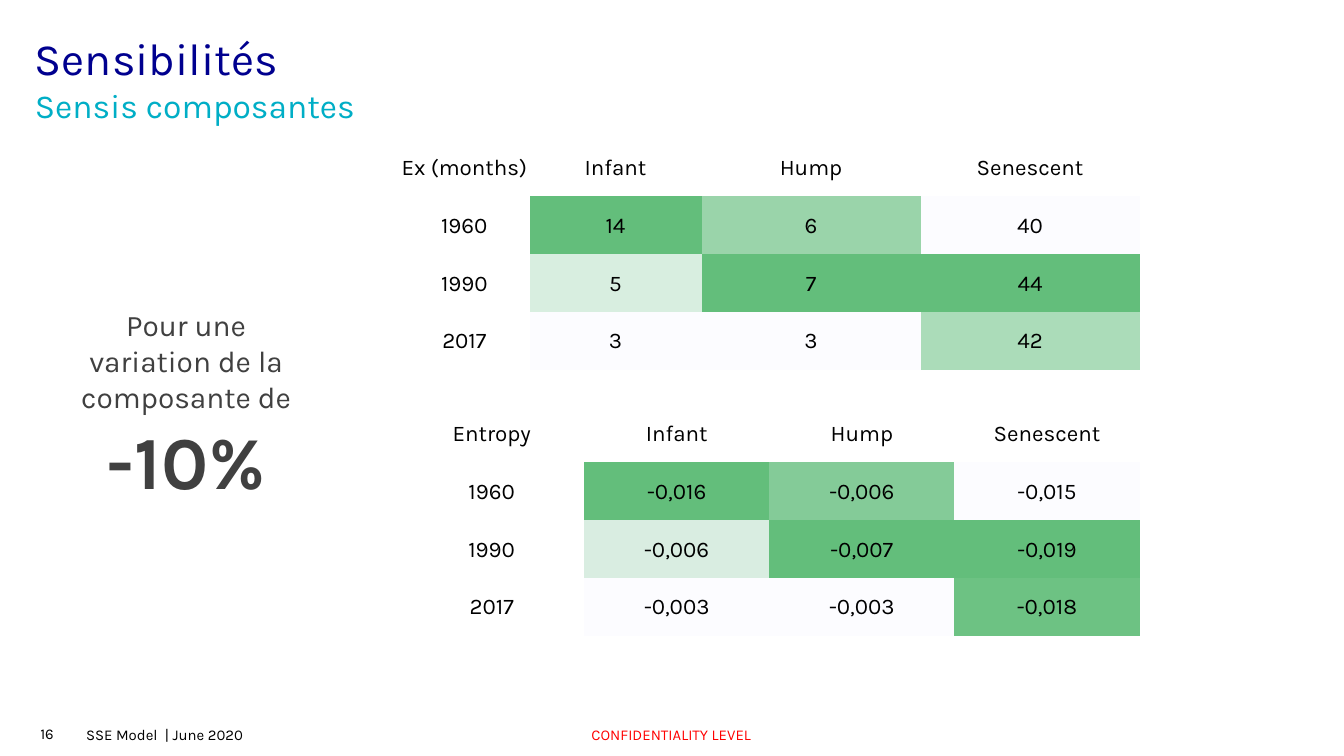
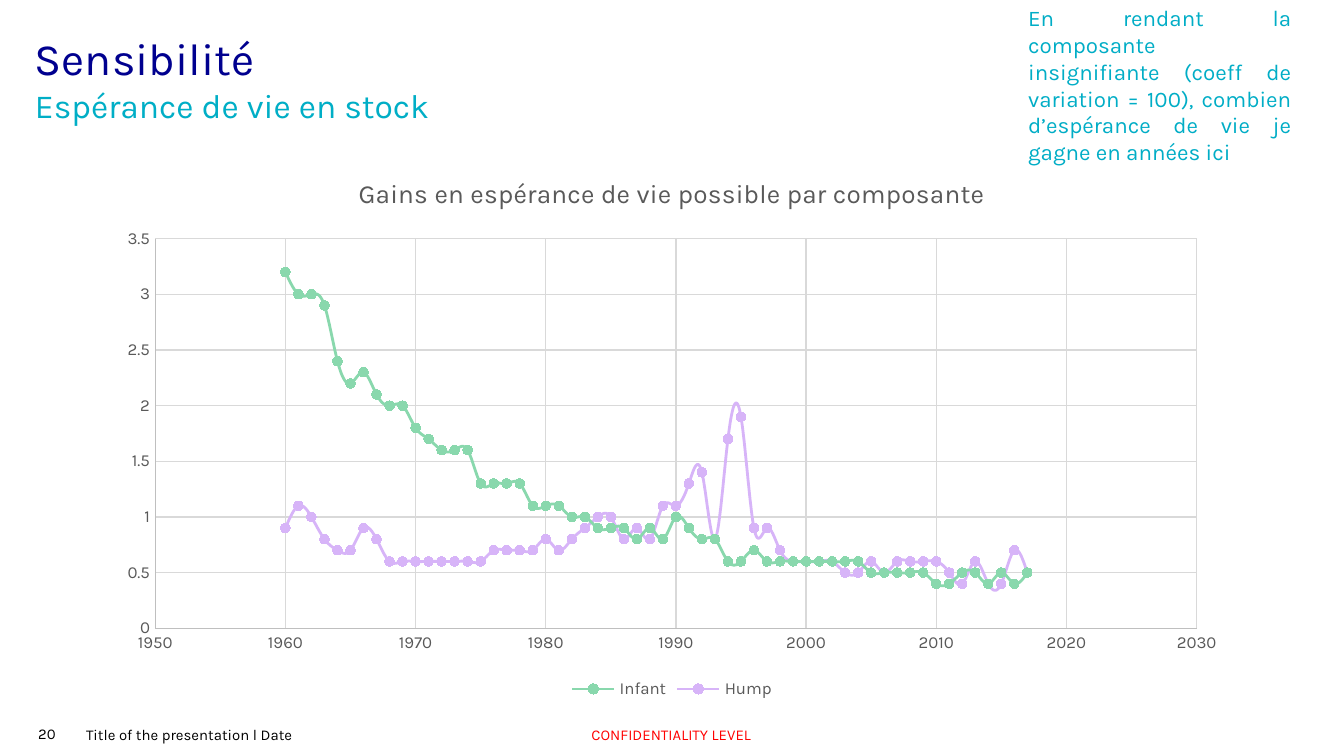
from dataclasses import dataclass

from pptx import Presentation
from pptx import util as u
from pptx.chart import data as chart_data
from pptx.dml import color as dml
from pptx.enum import chart as chart_kinds
from pptx.enum import text
from pptx.oxml import ns

LEFT, CENTER, JUSTIFY = (text.PP_ALIGN.LEFT, text.PP_ALIGN.CENTER,
                         text.PP_ALIGN.JUSTIFY)
MIDDLE, BOTTOM = text.MSO_ANCHOR.MIDDLE, text.MSO_ANCHOR.BOTTOM
PLAIN_TABLE_STYLE = "{2D5ABB26-0587-4C30-8999-92F81FD0307C}"
SLIDE_WIDTH = 10
SLIDE_HEIGHT = SLIDE_WIDTH * 9 / 16
TABLE_WIDTH = 5.51


@dataclass(frozen=True)
class Theme:
    font: str = "Karla"
    # Colours
    navy: str = "00008F"
    teal: str = "00AEC6"
    note: str = "00ADC6"
    black: str = "000000"
    red: str = "FF0000"
    dark_grey: str = "404040"
    chart_grey: str = "595959"
    axis_grey: str = "BFBFBF"
    grid_grey: str = "D9D9D9"
    infant: str = "89D8AD"
    hump: str = "D7B4F8"
    # Type sizes
    title_size: int = 24
    subtitle_size: int = 18
    figure_size: int = 40
    lead_size: int = 16
    chart_title_size: int = 14
    body_size: int = 12
    chart_size: int = 10
    axis_size: int = 9
    footer_size: int = 8


THEME = Theme()


def rgb(value):
    return dml.RGBColor.from_string(value)


def format_font(font, size, color, bold=False):
    font.name = THEME.font
    font.size = u.Pt(size)
    font.bold = bold
    font.color.rgb = rgb(color)


def write(paragraph, wording, size=THEME.body_size, color=THEME.black,
          bold=False, align=LEFT):
    """Fill a paragraph with one formatted run."""
    paragraph.alignment = align
    run = paragraph.add_run()
    run.text = wording
    format_font(run.font, size, color, bold)
    return run


def set_margins(target, left, top, right, bottom):
    target.margin_left, target.margin_top = u.Inches(left), u.Inches(top)
    target.margin_right, target.margin_bottom = u.Inches(right), u.Inches(bottom)


class Deck:
    """Holds the theme, the presentation and the slide being built."""

    def __init__(self, theme):
        self.theme = theme
        self.presentation = Presentation()
        self.presentation.slide_width = u.Inches(SLIDE_WIDTH)
        self.presentation.slide_height = u.Inches(SLIDE_HEIGHT)
        self.slide = None

    def new_slide(self, title, subtitle, number, footer):
        th = self.theme
        layout = self.presentation.slide_layouts.get_by_name("Section Header")
        self.slide = self.presentation.slides.add_slide(layout)
        heading, subheading = self.slide.placeholders
        self.heading(heading, title, 0.23, 0.39, th.title_size, th.navy)
        self.heading(subheading, subtitle, 0.63, 0.31, th.subtitle_size, th.teal)

        # Footer
        insets = (0.09, 0.04, 0.09, 0.04)
        for wording, box, color, align in (
                (number, (0.01, 5.32, 0.68, 0.27), th.black, CENTER),
                (footer, (0.55, 5.37, 2.42, 0.19), th.black, LEFT),
                ("CONFIDENTIALITY LEVEL", (3.64, 5.37, 2.71, 0.19), th.red, CENTER)):
            frame = self.text_box(box, MIDDLE, insets)
            write(frame.paragraphs[0], wording, size=th.footer_size,
                  color=color, align=align)

    def heading(self, placeholder, wording, top, height, size, color):
        placeholder.left, placeholder.top = u.Inches(0.26), u.Inches(top)
        placeholder.width, placeholder.height = u.Inches(9.65), u.Inches(height)
        frame = placeholder.text_frame
        frame.auto_size = text.MSO_AUTO_SIZE.NONE
        frame.vertical_anchor = MIDDLE
        set_margins(frame, 0, 0, 0, 0)
        run = write(frame.paragraphs[0], wording, size=size, color=color)
        run.font._element.set("cap", "none")

    def text_box(self, box, anchor, insets=(0, 0, 0, 0), grow=False):
        frame = self.slide.shapes.add_textbox(*map(u.Inches, box)).text_frame
        frame.word_wrap = True
        frame.vertical_anchor = anchor
        set_margins(frame, *insets)
        if grow:
            frame.auto_size = text.MSO_AUTO_SIZE.SHAPE_TO_FIT_TEXT
        return frame

    def heat_table(self, top, widths, rows, fills):
        """Draw a table whose values, below and right of the labels, are filled."""
        row_height = 0.43
        table = self.slide.shapes.add_table(
            len(rows), len(widths), u.Inches(2.97), u.Inches(top),
            u.Inches(TABLE_WIDTH), u.Inches(row_height * len(rows))).table
        table.first_row = table.horz_banding = False
        table._tbl.tblPr.find(ns.qn("a:tableStyleId")).text = PLAIN_TABLE_STYLE
        for column, width in zip(table.columns, widths):
            column.width = u.Inches(width)
        for r, row in enumerate(rows):
            table.rows[r].height = u.Inches(row_height)
            for c, wording in enumerate(row):
                cell = table.cell(r, c)
                cell.vertical_anchor = MIDDLE
                set_margins(cell, 0.01, 0.01, 0.01, 0)
                write(cell.text_frame.paragraphs[0], wording, align=CENTER)
                if r and c:
                    cell.fill.solid()
                    cell.fill.fore_color.rgb = rgb(fills[r - 1][c - 1])
                else:
                    cell.fill.background()

    def scatter_chart(self, box, title, first_year, series):
        th = self.theme
        points = chart_data.XyChartData()
        for name, values, _ in series:
            gains = points.add_series(name)
            for year, value in enumerate(values, first_year):
                gains.add_data_point(year, value)
        chart = self.slide.shapes.add_chart(
            chart_kinds.XL_CHART_TYPE.XY_SCATTER_SMOOTH,
            *map(u.Inches, box), points).chart
        format_font(chart.font, th.chart_size, th.black)

        # Title and legend
        chart.has_title = True
        write(chart.chart_title.text_frame.paragraphs[0], title,
              size=th.chart_title_size, color=th.chart_grey, align=CENTER)
        chart.chart_title.include_in_layout = False
        chart.has_legend = True
        chart.legend.position = chart_kinds.XL_LEGEND_POSITION.BOTTOM
        chart.legend.include_in_layout = False
        format_font(chart.legend.font, th.axis_size, th.chart_grey)

        # Axes
        for axis, low, high, step in ((chart.category_axis, 1950, 2030, 10),
                                      (chart.value_axis, 0, 3.5, 0.5)):
            axis.minimum_scale, axis.maximum_scale = low, high
            axis.major_unit = step
            axis.major_tick_mark = chart_kinds.XL_TICK_MARK.NONE
            axis.minor_tick_mark = chart_kinds.XL_TICK_MARK.NONE
            axis.has_major_gridlines = True
            self.line(axis.format.line, th.axis_grey, 0.75)
            self.line(axis.major_gridlines.format.line, th.grid_grey, 0.75)
            format_font(axis.tick_labels.font, th.axis_size, th.chart_grey)

        # Series
        plot = chart.plots[0]
        plot.vary_by_categories = False
        for curve, (_, _, color) in zip(plot.series, series):
            self.line(curve.format.line, color, 1.5)
            curve.marker.style = chart_kinds.XL_MARKER_STYLE.CIRCLE
            curve.marker.size = 5
            curve.marker.format.fill.solid()
            curve.marker.format.fill.fore_color.rgb = rgb(color)
            self.line(curve.marker.format.line, color, 0.75)
            for smooth in curve._element.findall(ns.qn("c:smooth")):
                smooth.set("val", "1")

    @staticmethod
    def line(line, color, width):
        line.color.rgb = rgb(color)
        line.width = u.Pt(width)


COMPONENTS = ["Infant", "Hump", "Senescent"]

INFANT_GAINS = [
    3.2, 3, 3, 2.9, 2.4, 2.2, 2.3, 2.1, 2, 2,
    1.8, 1.7, 1.6, 1.6, 1.6, 1.3, 1.3, 1.3, 1.3, 1.1,
    1.1, 1.1, 1, 1, 0.9, 0.9, 0.9, 0.8, 0.9, 0.8,
    1, 0.9, 0.8, 0.8, 0.6, 0.6, 0.7, 0.6, 0.6, 0.6,
    0.6, 0.6, 0.6, 0.6, 0.6, 0.5, 0.5, 0.5, 0.5, 0.5,
    0.4, 0.4, 0.5, 0.5, 0.4, 0.5, 0.4, 0.5]
HUMP_GAINS = [
    0.9, 1.1, 1, 0.8, 0.7, 0.7, 0.9, 0.8, 0.6, 0.6,
    0.6, 0.6, 0.6, 0.6, 0.6, 0.6, 0.7, 0.7, 0.7, 0.7,
    0.8, 0.7, 0.8, 0.9, 1, 1, 0.8, 0.9, 0.8, 1.1,
    1.1, 1.3, 1.4, 0.8, 1.7, 1.9, 0.9, 0.9, 0.7, 0.6,
    0.6, 0.6, 0.6, 0.5, 0.5, 0.6, 0.5, 0.6, 0.6, 0.6,
    0.6, 0.5, 0.4, 0.6, 0.4, 0.4, 0.7, 0.5]


def build_component_slide(deck):
    deck.new_slide("Sensibilités", "Sensis composantes", "16",
                   "SSE Model  | June 2020")

    # Assumption
    assumption = deck.text_box((0.55, 2.27, 1.67, 1.48), BOTTOM, grow=True)
    write(assumption.paragraphs[0], "Pour une variation de la composante de",
          size=THEME.lead_size, color=THEME.dark_grey, align=CENTER)
    write(assumption.add_paragraph(), "-10%", size=THEME.figure_size,
          color=THEME.dark_grey, bold=True, align=CENTER)

    # Life expectancy and entropy
    deck.heat_table(
        1.03, [0.97, 1.28, 1.63, 1.63],
        [["Ex (months)", *COMPONENTS],
         ["1960", "14", "6", "40"],
         ["1990", "5", "7", "44"],
         ["2017", "3", "3", "42"]],
        [["63BE7B", "9AD4AA", "FCFCFF"],
         ["D8EEE0", "63BE7B", "63BE7B"],
         ["FCFCFF", "FCFCFF", "ABDCB9"]])
    deck.heat_table(
        3.01, [TABLE_WIDTH / 4] * 4,
        [["Entropy", *COMPONENTS],
         ["1960", "-0,016", "-0,006", "-0,015"],
         ["1990", "-0,006", "-0,007", "-0,019"],
         ["2017", "-0,003", "-0,003", "-0,018"]],
        [["63BE7B", "84CB98", "FCFCFF"],
         ["D9EDE1", "63BE7B", "63BE7B"],
         ["FCFCFF", "FCFCFF", "6DC283"]])


def build_life_expectancy_slide(deck):
    deck.new_slide("Sensibilité", "Espérance de vie en stock", "20",
                   "Title of the presentation l Date")
    deck.scatter_chart(
        (0.78, 1.14, 8.44, 4.1),
        "Gains en espérance de vie possible par composante", 1960,
        [("Infant", INFANT_GAINS, THEME.infant),
         ("Hump", HUMP_GAINS, THEME.hump)])

    # Reading note
    note = deck.text_box((7.65, 0.22, 1.96, 1.01), BOTTOM, grow=True)
    write(note.paragraphs[0],
          "En rendant la composante insignifiante (coeff de variation = 100), "
          "combien d’espérance de vie je gagne en années ici",
          color=THEME.note, align=JUSTIFY)


def main():
    deck = Deck(THEME)
    build_component_slide(deck)
    build_life_expectancy_slide(deck)
    deck.presentation.save("out.pptx")


if __name__ == "__main__":
    main()
